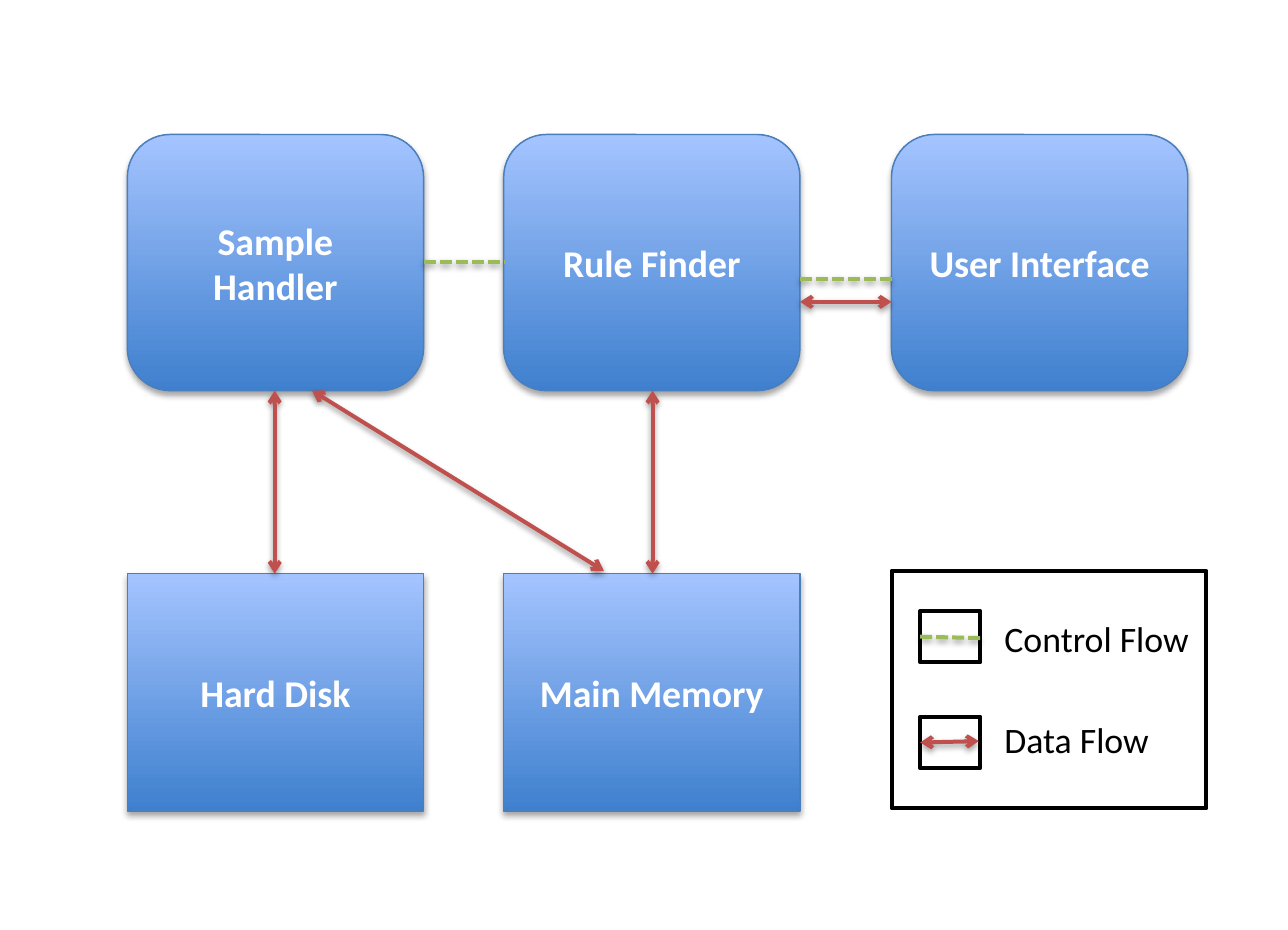
from lxml import etree
from pptx import Presentation
from pptx.dml.color import RGBColor
from pptx.enum.dml import MSO_LINE
from pptx.enum.shapes import MSO_CONNECTOR, MSO_SHAPE
from pptx.enum.text import MSO_ANCHOR, MSO_AUTO_SIZE, PP_ALIGN
from pptx.oxml import parse_xml
from pptx.oxml.ns import nsdecls, qn
from pptx.util import Inches, Pt

ROUNDED = MSO_SHAPE.ROUNDED_RECTANGLE
RECTANGLE = MSO_SHAPE.RECTANGLE
STRAIGHT = MSO_CONNECTOR.STRAIGHT
DASH = MSO_LINE.SQUARE_DOT
CENTER = PP_ALIGN.CENTER
MIDDLE = MSO_ANCHOR.MIDDLE
FIT_TEXT = MSO_AUTO_SIZE.SHAPE_TO_FIT_TEXT

rgb = RGBColor.from_string


def add_shadow(properties, distance, opacity):
    properties.append(parse_xml(
        f'<a:effectLst {nsdecls("a")}>'
        f'<a:outerShdw blurRad="{Pt(3.1)}" dist="{Pt(distance)}" dir="5400000" rotWithShape="0">'
        f'<a:srgbClr val="000000"><a:alpha val="{opacity * 1000}"/></a:srgbClr>'
        '</a:outerShdw></a:effectLst>'))


def write(frame, text, **font_format):
    paragraph = frame.paragraphs[0]
    run = paragraph.add_run()
    run.text = text
    color = font_format.pop("color")
    run.font.color.rgb = rgb(color)
    for key, value in {"name": "Calibri", **font_format}.items():
        setattr(run.font, key, value)
    return paragraph


prs = Presentation()
prs.slide_width, prs.slide_height = Inches(9), Inches(6.5)
slide = prs.slides.add_slide(prs.slide_layouts[6])
shapes = slide.shapes

columns = [0.89, 3.52, 6.23]
component_width = 2.07
component_rows = [
    (ROUNDED, 0.94, 1.79, ["Sample Handler", "Rule Finder", "User Interface"]),
    (RECTANGLE, 4.01, 1.66, ["Hard Disk", "Main Memory"]),
]
for outline, top, height, labels in component_rows:
    for left, label in zip(columns, labels):
        component = shapes.add_shape(outline, Inches(left), Inches(top),
                                     Inches(component_width), Inches(height))
        component.fill.gradient()
        component.fill.gradient_angle = 90
        for stop, color in zip(component.fill.gradient_stops, ["3F80CE", "A4C4FF"]):
            stop.color.rgb = rgb(color)
        component.line.color.rgb = rgb("4B7EBC")
        component.line.width = Pt(0.75)
        add_shadow(component.element.spPr, 1.8, 35)
        frame = component.text_frame
        frame.word_wrap = True
        frame.vertical_anchor = MIDDLE
        frame.margin_left = frame.margin_right = Inches(0.09)
        frame.margin_top = frame.margin_bottom = Inches(0.04)
        write(frame, label, size=Pt(19), bold=True, color="FFFFFF").alignment = CENTER

legend_boxes = [(6.23, 3.99, 2.2, 1.66), (6.43, 4.27, 0.42, 0.36), (6.43, 5.01, 0.42, 0.36)]
for box in legend_boxes:
    legend_box = shapes.add_shape(RECTANGLE, *map(Inches, box))
    legend_box.shadow.inherit = False
    legend_box.fill.solid()
    legend_box.fill.fore_color.rgb = rgb("FFFFFF")
    legend_box.line.color.rgb = rgb("000000")
    legend_box.line.width = Pt(2)

data_flows = [
    (1.92, 2.73, 1.92, 4.01),
    (4.56, 2.73, 4.56, 4.01),
    (2.18, 2.73, 4.22, 3.99),
    (5.59, 2.11, 6.23, 2.11),
    (6.43, 5.19, 6.84, 5.18),
]
control_flows = [
    (2.96, 1.83, 3.52, 1.83),
    (5.59, 1.95, 6.23, 1.95),
    (6.43, 4.45, 6.86, 4.46),
]
for color, is_data, flows in [("C0504D", True, data_flows), ("9BBB59", False, control_flows)]:
    for ends in flows:
        flow = shapes.add_connector(STRAIGHT, *map(Inches, ends))
        flow.line.color.rgb = rgb(color)
        flow.line.width = Pt(2)
        if is_data:
            for end in ["a:headEnd", "a:tailEnd"]:
                etree.SubElement(flow.line._get_or_add_ln(), qn(end), type="arrow")
        else:
            flow.line.dash_style = DASH
        add_shadow(flow.element.spPr, 1.6, 38)

for label, top, width in [("Control Flow", 4.26, 1.51), ("Data Flow", 4.97, 1.23)]:
    legend_label = shapes.add_textbox(Inches(6.92), Inches(top), Inches(width), Inches(0.4))
    frame = legend_label.text_frame
    frame.word_wrap = False
    frame.auto_size = FIT_TEXT
    write(frame, label, size=Pt(18), color="000000")

prs.save("out.pptx")
